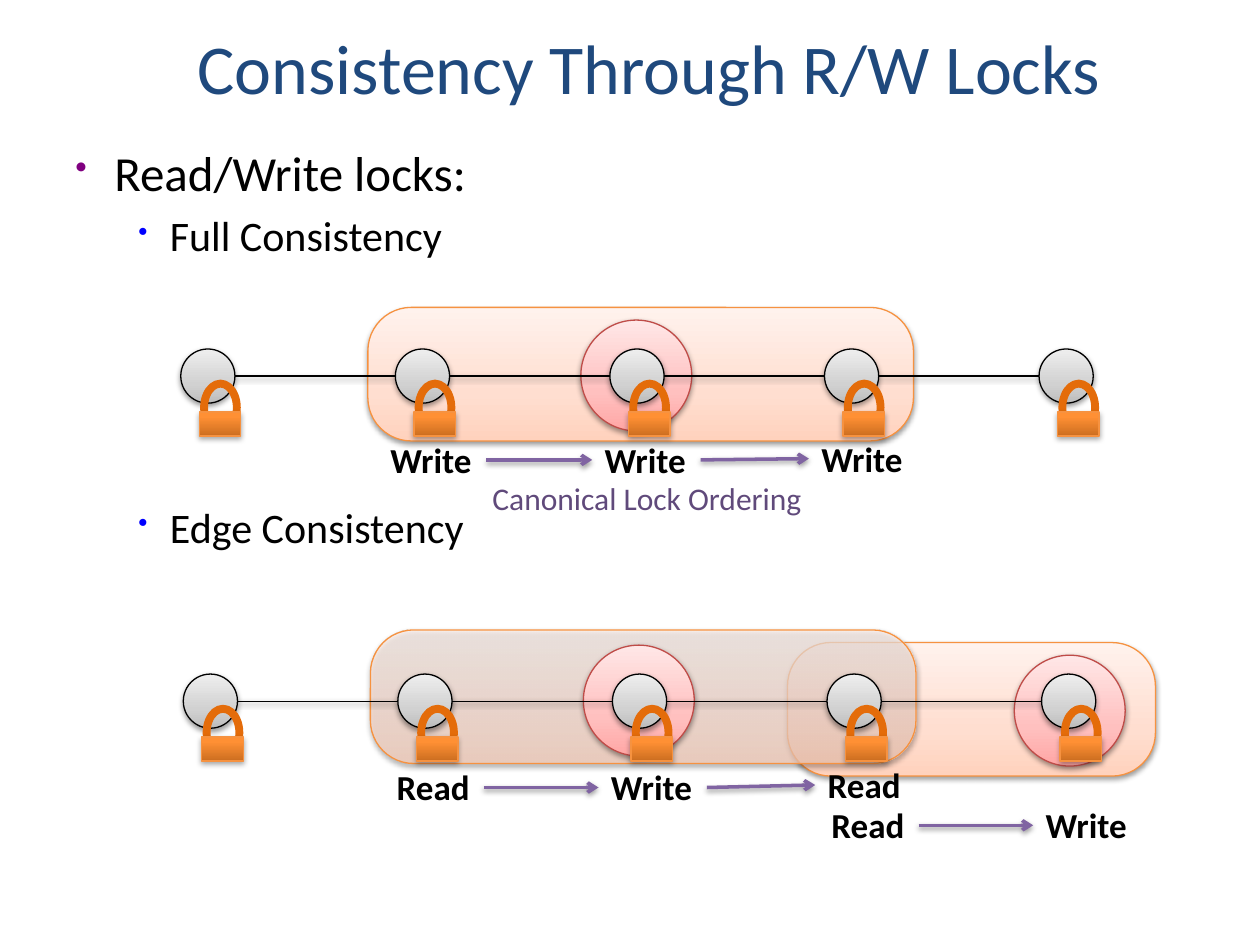
from dataclasses import dataclass
from typing import NamedTuple

from lxml.etree import SubElement
from pptx import Presentation
from pptx.dml.color import RGBColor
from pptx.enum.shapes import MSO_CONNECTOR, MSO_SHAPE
from pptx.enum.text import MSO_ANCHOR
from pptx.oxml.ns import qn
from pptx.util import Inches, Pt

COLUMNS, ROWS = 100, 75
FONT = "Calibri"
COLORS = {
    "title": "1F497D", "text": "000000", "edge": "000000", "arrow": "8064A2",
    "ordering": "604A7B", "shackle": "E46C0A", "level0": "800080", "level1": "0000FF",
}

prs = Presentation()
prs.slide_width, prs.slide_height = Inches(10), Inches(7.5)
slide = prs.slides.add_slide(prs.slide_layouts[6])
shapes = slide.shapes


class Area(NamedTuple):
    left: float
    top: float
    width: float
    height: float


@dataclass(frozen=True)
class Look:
    preset: MSO_SHAPE
    line: str
    stops: tuple = ()
    weight: float = 0.75
    shadow: int = 38
    alpha: int = 100


@dataclass(frozen=True)
class Bullet:
    text: str
    level: int
    size: int
    margin: float
    hang: float
    before: float
    scale: int


REGION_STOPS = ((0, "FFD2BD"), (35, "FFDED0"), (100, "FFF2ED"))
REGION = Look(MSO_SHAPE.ROUNDED_RECTANGLE, "F69240", REGION_STOPS)
CLEAR_REGION = Look(MSO_SHAPE.ROUNDED_RECTANGLE, "F69240", REGION_STOPS, alpha=68)
RING = Look(MSO_SHAPE.OVAL, "BF4C48", ((0, "FFA6A5"), (35, "FFC0BF"), (100, "FFE7E7")))
NODE = Look(MSO_SHAPE.OVAL, "000000", ((0, "BDBDBD"), (35, "D1D1D1"), (100, "EEEEEE")))
SHACKLE = Look(MSO_SHAPE.OVAL, COLORS["shackle"], weight=4.5, shadow=0)
LOCK = Look(MSO_SHAPE.RECTANGLE, "F69240",
            ((0, "CC6E20"), (80, "FF9034"), (100, "FF9136")), shadow=35)

NODE_COUNT, NODE_STEP, NODE_SIZE = 5, 17.03, 4.3
BULLETS = (
    Bullet("Read/Write locks:", 0, 28, 0.31, 0.31, 0, 70),
    Bullet("Full Consistency", 1, 24, 0.75, 0.25, 4.8, 65),
    Bullet("Edge Consistency", 1, 24, 0.75, 0.25, 138, 65),
)
LOCK_ORDERS = (
    (("Write", Area(30, 34.3, 8.6, 4.4)), ("Write", Area(47, 34.3, 8.6, 4.4)),
     ("Write", Area(64.2, 34.2, 8.6, 4.4))),
    (("Read", Area(30.5, 60.3, 7.9, 4.4)), ("Write", Area(47.5, 60.3, 8.6, 4.4)),
     ("Read", Area(64.7, 60.1, 7.9, 4.4))),
    (("Read", Area(65, 63.3, 7.9, 4.4)), ("Write", Area(82, 63.3, 8.6, 4.4))),
)


def across(columns: float) -> int:
    return round(prs.slide_width * columns / COLUMNS)


def down(rows: float) -> int:
    return round(prs.slide_height * rows / ROWS)


def place(area: Area) -> tuple:
    return across(area.left), down(area.top), across(area.width), down(area.height)


def rgb(color: str) -> RGBColor:
    return RGBColor.from_string(color)


def add_shadow(properties, opacity: int) -> None:
    effects = properties.find(qn("a:effectLst"))
    if effects is None:
        effects = SubElement(properties, qn("a:effectLst"))
    if opacity:
        outer = SubElement(effects, qn("a:outerShdw"), blurRad=str(Pt(3.1)),
                           dist=str(Pt(1.6)), dir="5400000", rotWithShape="0")
        shade = SubElement(outer, qn("a:srgbClr"), val="000000")
        SubElement(shade, qn("a:alpha"), val=str(opacity * 1000))


def draw(look: Look, area: Area) -> None:
    shape = shapes.add_shape(look.preset, *place(area))
    if look.preset == MSO_SHAPE.ROUNDED_RECTANGLE:
        shape.adjustments[0] = 0.325
    shape.line.color.rgb = rgb(look.line)
    shape.line.width = Pt(look.weight)
    shape.shadow.inherit = False
    properties = shape.element.spPr
    add_shadow(properties, look.shadow)
    if not look.stops:
        shape.fill.background()
        return
    shape.fill.gradient()
    gradient = properties.find(qn("a:gradFill"))
    for child in list(gradient):
        gradient.remove(child)
    stops = SubElement(gradient, qn("a:gsLst"))
    for position, color in look.stops:
        stop = SubElement(stops, qn("a:gs"), pos=str(position * 1000))
        tint = SubElement(stop, qn("a:srgbClr"), val=color)
        if look.alpha < 100:
            SubElement(tint, qn("a:alpha"), val=str(look.alpha * 1000))
    SubElement(gradient, qn("a:lin"), ang="16200000", scaled="0")


def connect(color: str, weight: float, start=(0, 0), end=(0, 0)):
    link = shapes.add_connector(MSO_CONNECTOR.STRAIGHT, across(start[0]), down(start[1]),
                                across(end[0]), down(end[1]))
    link.line.color.rgb = rgb(color)
    link.line.width = Pt(weight)
    add_shadow(link.element.spPr, 38)
    return link


def draw_chain(left: float, top: float) -> None:
    middle = top + NODE_SIZE / 2
    connect(COLORS["edge"], 0.75, (left + NODE_SIZE, middle),
            (left + NODE_STEP * (NODE_COUNT - 1), middle))
    for index in range(NODE_COUNT):
        x = left + index * NODE_STEP
        draw(NODE, Area(x, top, NODE_SIZE, NODE_SIZE))
        draw(SHACKLE, Area(x + 1.85, top + 2.75, 2.6, 3.8))
        draw(LOCK, Area(x + 1.47, top + 5, 3.3, 1.9))


def write(text: str, area: Area, size: int, color: str, bold=False, wrap=False):
    label = shapes.add_textbox(*place(area))
    label.text_frame.word_wrap = wrap
    line = label.text_frame.paragraphs[0]
    line.text = text
    line.font.name, line.font.size, line.font.bold = FONT, Pt(size), bold
    line.font.color.rgb = rgb(color)
    return label


def write_bullets(area: Area) -> None:
    frame = shapes.add_textbox(*place(area)).text_frame
    frame.word_wrap = True
    for index, bullet in enumerate(BULLETS):
        line = frame.add_paragraph() if index else frame.paragraphs[0]
        line.text, line.level = bullet.text, bullet.level
        if bullet.before:
            line.space_before = Pt(bullet.before)
        settings = line._p.get_or_add_pPr()
        settings.set("marL", str(Inches(bullet.margin)))
        settings.set("indent", str(-Inches(bullet.hang)))
        tint = SubElement(settings, qn("a:buClr"))
        SubElement(tint, qn("a:srgbClr"), val=COLORS[f"level{bullet.level}"])
        SubElement(settings, qn("a:buSzPct"), val=str(bullet.scale * 1000))
        SubElement(settings, qn("a:buChar"), char="•")
        line.font.name, line.font.size = FONT, Pt(bullet.size)
        line.font.color.rgb = rgb(COLORS["text"])


def draw_order(order: tuple) -> None:
    labels = [write(text, area, 20, COLORS["text"], bold=True) for text, area in order]
    for first, second in zip(labels, labels[1:]):
        arrow = connect(COLORS["arrow"], 2)
        arrow.begin_connect(first, 3)
        arrow.end_connect(second, 1)
        SubElement(arrow.line._ln, qn("a:tailEnd"), type="arrow")


draw(REGION, Area(62.5, 51, 29.2, 10.6))
draw(RING, Area(80.5, 52, 8.8, 8.8))
draw(REGION, Area(29.2, 24.4, 43.3, 10.6))
draw(RING, Area(46.1, 25.4, 8.8, 8.8))
title = write("Consistency Through R/W Locks", Area(14.7, 0.8, 82, 8.3), 40,
              COLORS["title"], wrap=True)
title.text_frame.vertical_anchor = MSO_ANCHOR.BOTTOM
write_bullets(Area(5, 10.8, 90.8, 36.7))
draw_chain(14.35, 27.7)
draw(CLEAR_REGION, Area(29.4, 50, 43.3, 10.6))
draw(RING, Area(46.3, 51.2, 8.8, 8.8))
draw_chain(14.55, 53.5)
for lock_order in LOCK_ORDERS:
    draw_order(lock_order)
write("Canonical Lock Ordering", Area(38.1, 37.5, 26.9, 4), 18, COLORS["ordering"])

prs.save("out.pptx")
